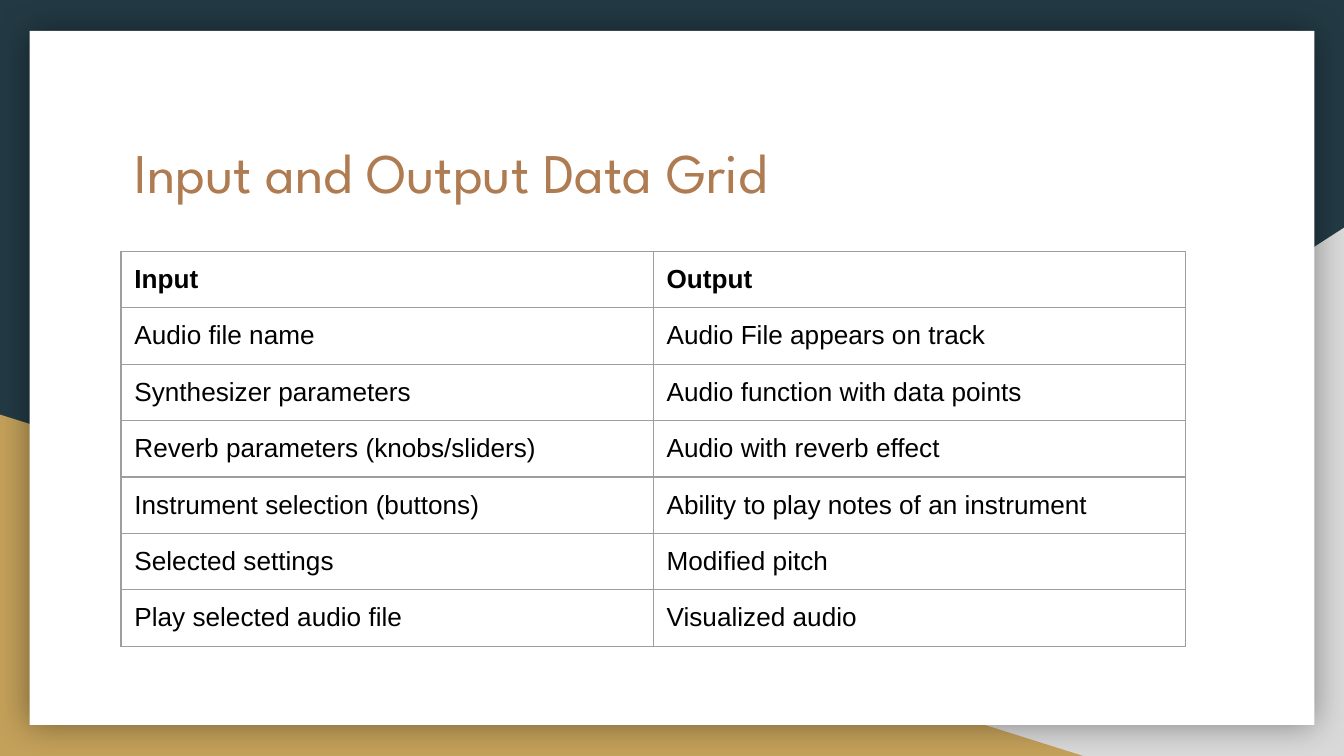
"""Build the slide with the input and output data grid."""
from lxml import etree
from pptx import Presentation
from pptx.dml.color import RGBColor
from pptx.enum.shapes import MSO_SHAPE
from pptx.enum.text import MSO_ANCHOR, PP_ALIGN
from pptx.oxml import parse_xml
from pptx.oxml.ns import qn
from pptx.util import Inches, Pt

TRIANGLE, RECTANGLE = MSO_SHAPE.RIGHT_TRIANGLE, MSO_SHAPE.RECTANGLE
TOP, LEFT = MSO_ANCHOR.TOP, PP_ALIGN.LEFT
NS = 'xmlns:a="http://schemas.openxmlformats.org/drawingml/2006/main"'
THEME = {
    "night": "233A44", "grey": "D9D9D9", "gold": "C4A15A", "paper": "FFFFFF",
    "copper": "AF7B51", "ink": "000000", "rule": "9E9E9E", "rule_pt": 0.75,
    "title_font": "League Spartan", "title_pt": 30,
    "body_font": "Arial", "body_pt": 14,
}
ROWS = [
    ("Input", "Output"),
    ("Audio file name", "Audio File appears on track"),
    ("Synthesizer parameters", "Audio function with data points"),
    ("Reverb parameters (knobs/sliders)", "Audio with reverb effect"),
    ("Instrument selection (buttons)", "Ability to play notes of an instrument"),
    ("Selected settings", "Modified pitch"),
    ("Play selected audio file", "Visualized audio"),
]


def write(tf, text, font, size, color, bold=False):
    """Put one formatted run into a text frame."""
    p = tf.paragraphs[0]
    p.alignment = LEFT
    p.line_spacing = 1.0
    p.space_before = Pt(0)
    r = p.add_run()
    r.text = text
    r.font.name, r.font.size, r.font.bold = font, Pt(size), bold
    r.font.color.rgb = RGBColor.from_string(color)


prs = Presentation()
W = Inches(10)
H = W * 9 // 16
prs.slide_width, prs.slide_height = W, H
margin = Inches(0.9)
pad = Inches(0.1)

s = prs.slides.add_slide(prs.slide_layouts[5])
s.background.fill.solid()
s.background.fill.fore_color.rgb = RGBColor.from_string(THEME["night"])

edge_x, edge_y = Inches(0.22), Inches(0.23)
grey_w, grey_h = Inches(6.08), Inches(3.93)
gold_w, gold_h = Inches(8.06), Inches(2.54)
backdrop = [
    ("grey", TRIANGLE, W - grey_w, H - grey_h, grey_w, grey_h),
    ("gold", TRIANGLE, 0, H - gold_h, gold_w, gold_h),
    ("paper", RECTANGLE, edge_x, edge_y, W - 2 * edge_x, H - 2 * edge_y),
]
shapes = {}
for name, kind, x, y, w, h in backdrop:
    sp = s.shapes.add_shape(kind, x, y, w, h)
    sp.shadow.inherit = False
    sp.fill.solid()
    sp.fill.fore_color.rgb = RGBColor.from_string(THEME[name])
    sp.line.fill.background()
    shapes[name] = sp

shapes["grey"].element.spPr.find(qn("a:xfrm")).set("flipH", "1")
effects = shapes["paper"].element.spPr.find(qn("a:effectLst"))
shadow = etree.SubElement(effects, qn("a:outerShdw"), blurRad=str(Pt(18)),
                          dist="0", dir="0", algn="ctr", rotWithShape="0")
shade = etree.SubElement(shadow, qn("a:srgbClr"), val=THEME["ink"])
etree.SubElement(shade, qn("a:alpha"), val="40000")

title = s.shapes.title
title.left, title.top = margin, Inches(0.92)
title.width, title.height = Inches(8.21), Inches(1.04)
tf = title.text_frame
tf.word_wrap, tf.vertical_anchor = True, TOP
tf.margin_left = tf.margin_right = tf.margin_top = tf.margin_bottom = pad
write(tf, "Input and Output Data Grid", font=THEME["title_font"],
      size=THEME["title_pt"], color=THEME["copper"])
title.element.getparent().append(title.element)

col_w, row_h = Inches(3.96), Inches(0.42)
table = s.shapes.add_table(len(ROWS), 2, margin, Inches(1.87),
                           2 * col_w, len(ROWS) * row_h).table
table.first_row = table.horz_banding = False
for i, row in enumerate(ROWS):
    table.rows[i].height = row_h
    for j, text in enumerate(row):
        table.columns[j].width = col_w
        cell = table.cell(i, j)
        cell.margin_left = cell.margin_right = pad
        cell.margin_top = cell.margin_bottom = pad
        cell.vertical_anchor = TOP
        write(cell.text_frame, text, font=THEME["body_font"],
              size=THEME["body_pt"], color=THEME["ink"], bold=i == 0)
        tcPr = cell._tc.get_or_add_tcPr()
        for side in "LRTB":
            tcPr.append(parse_xml(
                f'<a:ln{side} {NS} w="{Pt(THEME["rule_pt"])}"><a:solidFill>'
                f'<a:srgbClr val="{THEME["rule"]}"/></a:solidFill></a:ln{side}>'))
        cell.fill.background()

prs.save("out.pptx")
